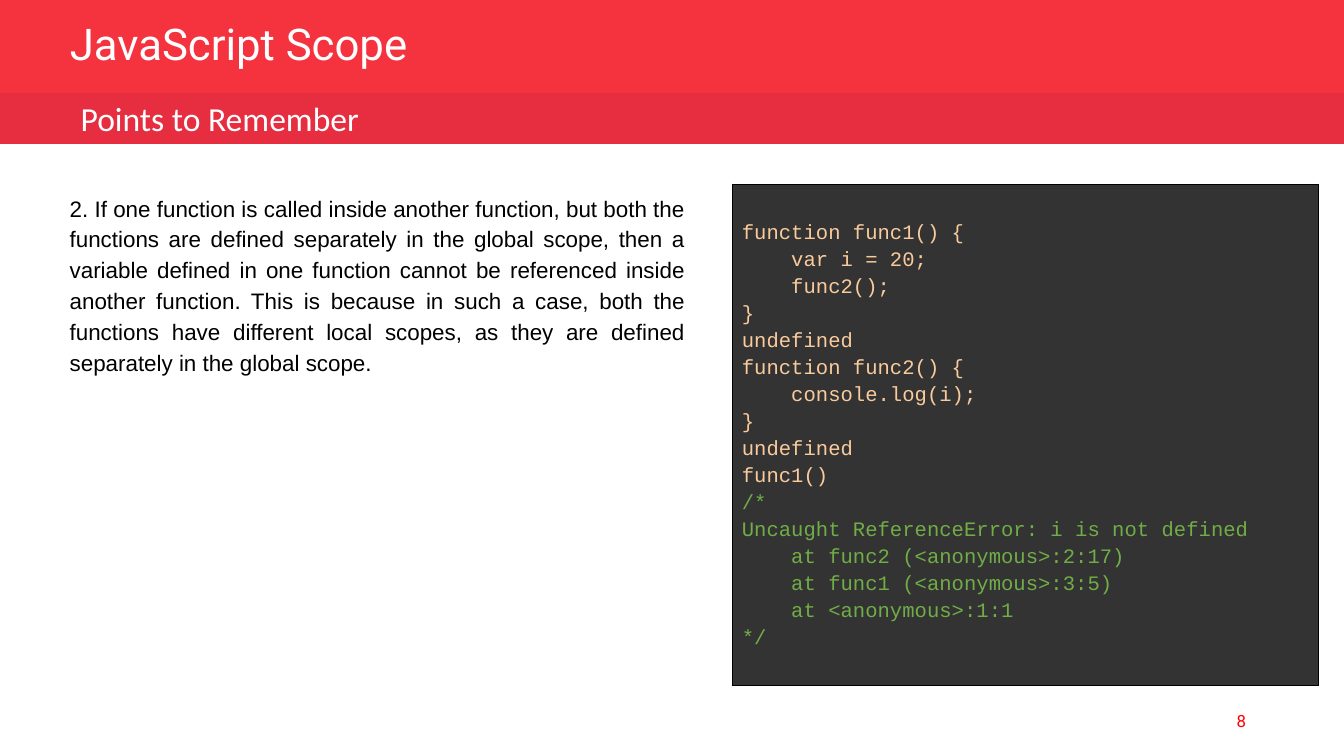
from lxml import etree
from pptx import Presentation
from pptx.dml.color import RGBColor
from pptx.enum.shapes import MSO_SHAPE
from pptx.enum.text import MSO_ANCHOR, MSO_AUTO_SIZE, PP_ALIGN
from pptx.oxml.ns import qn
from pptx.util import Inches, Pt

RECTANGLE = MSO_SHAPE.RECTANGLE
TOP, MIDDLE = MSO_ANCHOR.TOP, MSO_ANCHOR.MIDDLE
LEFT, RIGHT, JUSTIFY = PP_ALIGN.LEFT, PP_ALIGN.RIGHT, PP_ALIGN.JUSTIFY
NO_AUTOFIT = MSO_AUTO_SIZE.NONE

SLIDE_WIDTH = 10
SLIDE_HEIGHT = SLIDE_WIDTH * 9 / 16
RED, DARK_RED, WHITE, BLACK = "F5333F", "E72D40", "FFFFFF", "000000"
CODE_FILL, CODE_COLOR, COMMENT_COLOR = "333333", "F9CB9C", "70AD47"

EXPLANATION = (
    "2. If one function is called inside another function, but both the functions "
    "are defined separately in the global scope, then a variable defined in one "
    "function cannot be referenced inside another function. This is because in such "
    "a case, both the functions have different local scopes, as they are defined "
    "separately in the global scope."
)
CODE = """function func1() {
    var i = 20;
    func2();
}
undefined
function func2() {
    console.log(i);
}
undefined
func1()"""
ERROR_COMMENT = """/*
Uncaught ReferenceError: i is not defined
    at func2 (<anonymous>:2:17)
    at func1 (<anonymous>:3:5)
    at <anonymous>:1:1
*/"""


def rgb(color):
    """Turn a hex string into a colour."""
    return RGBColor.from_string(color)


def write(paragraph, text, font="Arial", size=12, color=BLACK, align=LEFT, spacing=1.0):
    """Put formatted text into a paragraph."""
    paragraph.alignment = align
    paragraph.line_spacing = spacing
    run = paragraph.add_run()
    run.text = text
    run.font.name = font
    run.font.size = Pt(size)
    run.font.color.rgb = rgb(color)


def fill_frame(frame, text, anchor=MIDDLE, left_inset=0.1, **text_format):
    """Set up a text frame and write one paragraph in it."""
    frame.word_wrap = True
    frame.auto_size = NO_AUTOFIT
    frame.vertical_anchor = anchor
    frame.margin_left, frame.margin_right = Inches(left_inset), Inches(0.1)
    frame.margin_top = frame.margin_bottom = Inches(0.05)
    write(frame.paragraphs[0], text, **text_format)


def add_band(slide, left, top, width, height, color):
    """Add a plain coloured band."""
    band = slide.shapes.add_shape(
        RECTANGLE, Inches(left), Inches(top), Inches(width), Inches(height))
    band.shadow.inherit = False
    band.fill.solid()
    band.fill.fore_color.rgb = rgb(color)
    band.line.fill.background()
    return band


def add_text(slide, left, top, width, height, text, **text_format):
    """Add a text box."""
    box = slide.shapes.add_textbox(
        Inches(left), Inches(top), Inches(width), Inches(height))
    fill_frame(box.text_frame, text, **text_format)


def add_header(slide, left, top, width, title_text, subtitle_text):
    """Place the title band and the subtitle band below it."""
    title = slide.shapes.title
    band = add_band(slide, left, top, width, 0.7, RED)
    title.element.addprevious(band.element)
    title.left, title.top = Inches(left + 0.42), Inches(top + 0.14)
    title.width, title.height = Inches(4.69), Inches(0.44)
    fill_frame(title.text_frame, title_text, font="Roboto", size=23.4,
               color=WHITE, spacing=0.8)
    subtitle = add_band(slide, left, top + 0.69, width, 0.38, DARK_RED)
    fill_frame(subtitle.text_frame, subtitle_text, left_inset=0.6,
               font="Calibri", size=18, color=WHITE)


def add_cell_borders(cell, color, width):
    """Draw a solid line on each side of a cell."""
    properties = cell._tc.get_or_add_tcPr()
    for position, side in enumerate(("a:lnL", "a:lnR", "a:lnT", "a:lnB")):
        line = etree.Element(qn(side), w=str(Pt(width)))
        solid = etree.SubElement(line, qn("a:solidFill"))
        etree.SubElement(solid, qn("a:srgbClr"), val=color)
        properties.insert(position, line)


def add_code_table(slide, left, top, width, height, blocks):
    """Place code blocks, each with its colour, in a one-cell table."""
    table = slide.shapes.add_table(
        1, 1, Inches(left), Inches(top), Inches(width), Inches(height)).table
    table.first_row = table.horz_banding = False
    cell = table.cell(0, 0)
    cell.fill.solid()
    cell.fill.fore_color.rgb = rgb(CODE_FILL)
    cell.vertical_anchor = MIDDLE
    cell.margin_left = cell.margin_right = Inches(0.07)
    cell.margin_top = cell.margin_bottom = Inches(0.07)
    add_cell_borders(cell, BLACK, 0.75)
    frame = cell.text_frame
    lines = [(line, color) for code, color in blocks for line in code.splitlines()]
    for index, (line, color) in enumerate(lines):
        paragraph = frame.add_paragraph() if index else frame.paragraphs[0]
        write(paragraph, line, font="Courier New", size=11, color=color, spacing=1.15)


def main():
    """Build the presentation."""
    presentation = Presentation()
    presentation.slide_width = Inches(SLIDE_WIDTH)
    presentation.slide_height = Inches(SLIDE_HEIGHT)
    slide = presentation.slides.add_slide(presentation.slide_layouts[5])
    add_header(slide, 0, 0, SLIDE_WIDTH, "JavaScript Scope", "Points to Remember")
    add_text(slide, 0.42, 1.37, 4.78, 4.14, EXPLANATION, anchor=TOP,
             align=JUSTIFY, spacing=1.15)
    add_text(slide, 7.12, 5.21, 2.25, 0.3, "8", font="Roboto", size=9,
             color="FF0000", align=RIGHT)
    add_code_table(slide, 5.45, 1.37, 4.36, 3.73,
                   [(CODE, CODE_COLOR), (ERROR_COMMENT, COMMENT_COLOR)])
    presentation.save("out.pptx")


if __name__ == "__main__":
    main()
